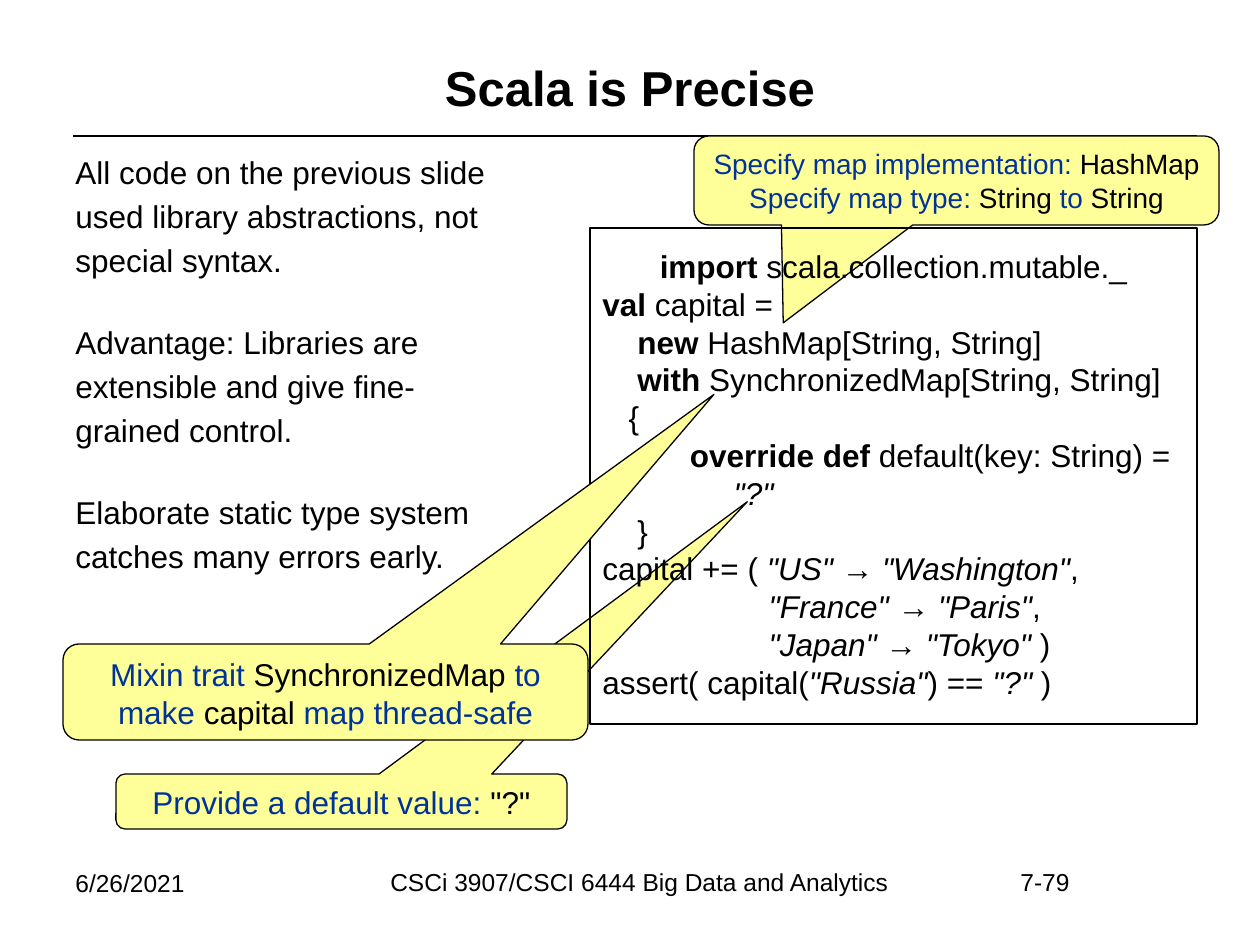
from lxml.etree import SubElement
from pptx import Presentation
from pptx.dml.color import RGBColor
from pptx.enum.shapes import MSO_CONNECTOR, MSO_SHAPE
from pptx.enum.text import MSO_ANCHOR, MSO_AUTO_SIZE, PP_ALIGN
from pptx.oxml.ns import qn
from pptx.util import Pt

PX = 914400 / 126
BLACK = RGBColor(0x00, 0x00, 0x00)
BLUE = RGBColor(0x00, 0x33, 0x99)
YELLOW = RGBColor(0xFF, 0xFF, 0x99)
BOLD = {"bold": True}
ITALIC = {"italic": True}
PLAIN = {}


def emu(*lengths):
    return [round(length * PX) for length in lengths]


def write(para, spans, size, color=BLACK):
    """Fill a paragraph from (text, format) pairs; a newline is a line break."""
    para.alignment = para.alignment or PP_ALIGN.LEFT
    for text, look in spans:
        for number, line in enumerate(text.split("\n")):
            if number:
                para.add_line_break()
            if not line:
                continue
            span = para.add_run()
            span.text = line
            values = {"name": "Arial", "size": Pt(size), **look}
            span.font.color.rgb = values.pop("color", color)
            for name, value in values.items():
                setattr(span.font, name, value)


deck = Presentation()
deck.slide_width, deck.slide_height = emu(1260, 945)
page = deck.slides.add_slide(deck.slide_layouts[6])

# Rule under the title
rule = page.shapes.add_connector(MSO_CONNECTOR.STRAIGHT, *emu(73, 136, 1197, 136))
rule.line.color.rgb = BLACK
rule.line.width = Pt(0.75)
SubElement(rule._element.spPr, qn("a:effectLst"))

# Title and footer
LABELS = [
    ("Scala is Precise", (63, 38, 1134, 98), 28, PP_ALIGN.CENTER, MSO_ANCHOR.MIDDLE, BOLD),
    ("6/26/2021", (63, 862, 209, 66), 14, PP_ALIGN.LEFT, MSO_ANCHOR.TOP, PLAIN),
    ("CSCi 3907/CSCI 6444 Big Data and Analytics", (272, 861, 735, 66), 14,
     PP_ALIGN.CENTER, MSO_ANCHOR.TOP, PLAIN),
    ("7-79", (1008, 861, 95, 66), 14, PP_ALIGN.LEFT, MSO_ANCHOR.TOP, PLAIN),
]
for text, place, size, align, anchor, look in LABELS:
    frame = page.shapes.add_textbox(*emu(*place)).text_frame
    frame.word_wrap = True
    frame.vertical_anchor = anchor
    frame.paragraphs[0].alignment = align
    write(frame.paragraphs[0], [(text, look)], size)

# Left column: each statement is a group of lines
STATEMENTS = [
    ["All code on the previous slide", "used library abstractions, not", "special syntax."],
    ["Advantage: Libraries are", "extensible and give fine-", "grained control."],
    ["Elaborate static type system", "catches many errors early."],
]
frame = page.shapes.add_textbox(*emu(63, 147, 483, 473)).text_frame
frame.word_wrap = True
for group, lines in enumerate(STATEMENTS):
    for row, line in enumerate(lines):
        first = group == row == 0
        para = frame.paragraphs[0] if first else frame.add_paragraph()
        if not first:
            para.space_before = Pt(3.6 if row else 25)
        write(para, [(line, PLAIN)], 18)

# Callouts and code, back to front; callout words alternate blue and black
CALLOUT = MSO_SHAPE.ROUNDED_RECTANGULAR_CALLOUT
CODE = [
    [("import", BOLD), (" scala.collection.mutable._", PLAIN)],
    [("val", BOLD), (" capital = \n    ", PLAIN), ("new", BOLD),
     (" HashMap[String, String] \n    ", PLAIN), ("with", BOLD),
     (" SynchronizedMap[String, String]", PLAIN)],
    [("   {\n          ", PLAIN), ("override def", BOLD),
     (" default(key: String) = \n               ", PLAIN), ('"?"\n', ITALIC), ("    }", PLAIN)],
    [("capital += ( ", PLAIN), ('"US" ', ITALIC), ("→ ", PLAIN), ('"Washington"', ITALIC),
     (", \n                   ", PLAIN), ('"France" ', ITALIC), ("→ ", PLAIN), ('"Paris"', ITALIC),
     (",\n                   ", PLAIN), ('"Japan" ', ITALIC), ("→ ", PLAIN), ('"Tokyo" ', ITALIC),
     (")", PLAIN)],
    [("assert( capital(", PLAIN), ('"Russia"', ITALIC), (") == ", PLAIN), ('"?"', ITALIC),
     (" )", PLAIN)],
]
BOXES = [
    ((116, 774, 451, 55), (0.9, -5.45), 18, ["Provide a default value: ", '"?"']),
    ((694, 136, 525, 89), (-0.33, 1.6), 16,
     ["Specify map implementation: ", "HashMap", " Specify map type: ", "String", " to ", "String"]),
    ((590, 228, 607, 496), None, 18, CODE),
    ((63, 644, 525, 96), (0.74, -3.1), 18,
     ["Mixin trait ", "SynchronizedMap", " to make ", "capital", " map thread-safe"]),
]
for place, tip, size, content in BOXES:
    box = page.shapes.add_shape(CALLOUT if tip else MSO_SHAPE.RECTANGLE, *emu(*place))
    box.shadow.inherit = False
    box.line.color.rgb = BLACK
    box.line.width = Pt(0.75 if tip else 1)
    frame = box.text_frame
    frame.vertical_anchor = MSO_ANCHOR.TOP
    frame.auto_size = MSO_AUTO_SIZE.SHAPE_TO_FIT_TEXT
    frame.word_wrap = tip is not None
    if tip:
        box.adjustments[0], box.adjustments[1] = tip
        box.fill.solid()
        box.fill.fore_color.rgb = YELLOW
        paragraphs = [[(text, {"color": BLACK if i % 2 else BLUE}) for i, text in enumerate(content)]]
    else:
        box.fill.background()
        frame.margin_top, frame.margin_bottom = emu(19, 19)
        paragraphs = content
    for number, spans in enumerate(paragraphs):
        write(frame.add_paragraph() if number else frame.paragraphs[0], spans, size)

deck.save("out.pptx")
